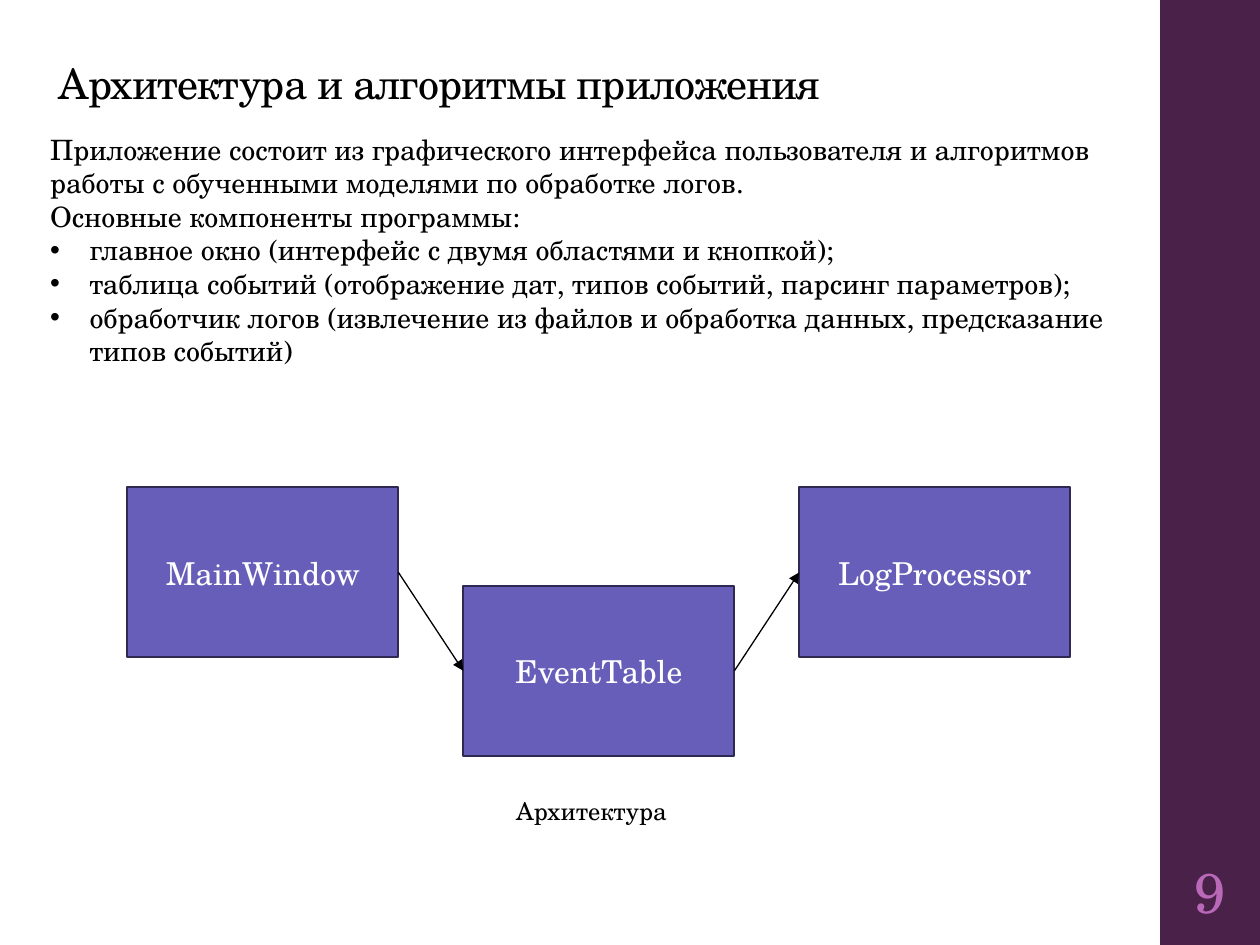
from lxml import etree
from pptx import Presentation
from pptx.dml.color import RGBColor
from pptx.enum.shapes import MSO_CONNECTOR, MSO_SHAPE
from pptx.enum.text import MSO_ANCHOR, PP_ALIGN
from pptx.oxml.ns import qn
from pptx.util import Pt

RECT = MSO_SHAPE.RECTANGLE
LINE = MSO_CONNECTOR.STRAIGHT
LEFT, MID = PP_ALIGN.LEFT, PP_ALIGN.CENTER
TOP, HALF, LOW = MSO_ANCHOR.TOP, MSO_ANCHOR.MIDDLE, MSO_ANCHOR.BOTTOM
FONT = "TeX Gyre Schola"
HUES = {"ink": "000000", "paper": "FFFFFF", "band": "4A2249",
        "node": "665EB8", "edge": "2D2951", "page": "BA69B8"}


def hue(name):
    return RGBColor.from_string(HUES[name])


def write(shape, text, size=16, tint="ink", align=LEFT, anchor=TOP,
          wrap=True, inset=7.2, lead=None, track=None, marks=()):
    frame = shape.text_frame
    frame.word_wrap = wrap
    frame.vertical_anchor = anchor
    frame.margin_left = frame.margin_right = Pt(inset)
    frame.text = text
    for i, para in enumerate(frame.paragraphs):
        para.alignment = align
        if lead:
            para.line_spacing = lead
        if i in marks:
            props = para._p.get_or_add_pPr()
            props.set("marL", str(Pt(22.5)))
            props.set("indent", str(-Pt(22.5)))
            etree.SubElement(props, qn("a:buFont")).set("typeface", "Arial")
            etree.SubElement(props, qn("a:buChar")).set("char", "•")
        for run in para.runs:
            run.font.name = FONT
            run.font.size = Pt(size)
            run.font.color.rgb = hue(tint)
            if track:
                run._r.get_or_add_rPr().set("spc", str(track))


def label(slide, box, text, **style):
    shape = slide.shapes.add_textbox(*map(Pt, box))
    write(shape, text, **style)


def block(slide, box, fill, edge=None):
    shape = slide.shapes.add_shape(RECT, *map(Pt, box))
    shape.shadow.inherit = False
    shape.fill.solid()
    shape.fill.fore_color.rgb = hue(fill)
    if edge:
        shape.line.color.rgb = hue(edge)
        shape.line.width = Pt(1.1)
    else:
        shape.line.fill.background()
    return shape


def arrow(slide, start, end):
    link = slide.shapes.add_connector(LINE, 0, 0, 0, 0)
    link.begin_connect(start, 3)
    link.end_connect(end, 1)
    link.line.color.rgb = hue("ink")
    link.line.width = Pt(0.75)
    props = link._element.spPr
    etree.SubElement(props.find(qn("a:ln")), qn("a:tailEnd")).set("type", "triangle")
    etree.SubElement(props, qn("a:effectLst"))


def side(slide, box, number):
    x, y, w, h = box
    block(slide, box, "band")
    label(slide, (x + 1.5, y + h - 54, w - 3.5, 47), number, size=32,
          tint="page", align=MID, anchor=HALF, inset=2.2)


def intro(slide, box):
    x, y, w, h = box
    label(slide, (x + 5, y, 610, 52), "Архитектура и алгоритмы приложения",
          size=24, anchor=LOW, lead=0.9, track=-50)
    lines = [
        "Приложение состоит из графического интерфейса пользователя и "
        "алгоритмов работы с обученными моделями по обработке логов.",
        "Основные компоненты программы:",
        "главное окно (интерфейс с двумя областями и кнопкой);",
        "таблица событий (отображение дат, типов событий, парсинг параметров);",
        "обработчик логов (извлечение из файлов и обработка данных, "
        "предсказание типов событий)",
    ]
    label(slide, (x, y + 58.3, w, h - 58.3), "\n".join(lines), marks=(2, 3, 4))


def scheme(slide, box):
    x, y, w, h = box
    wide, tall, drop = 155, 97.2, 56.2
    step = (w - wide) / 2
    nodes = []
    for i, name in enumerate(("MainWindow", "EventTable", "LogProcessor")):
        node = block(slide, (x + i * step, y + i % 2 * drop, wide, tall),
                     "node", "edge")
        write(node, name, size=18, tint="paper", align=MID, anchor=HALF)
        nodes.append(node)
    for start, end in zip(nodes, nodes[1:]):
        arrow(slide, start, end)
    label(slide, (x + 214.6, y + h - 24.5, 101.5, 24.5), "Архитектура",
          size=14, align=MID, wrap=False)


def main():
    deck = Presentation()
    deck.slide_width, deck.slide_height = Pt(720), Pt(540)
    slide = deck.slides.add_slide(deck.slide_layouts[6])
    side(slide, (663, 0, 57.5, 540), "9")
    intro(slide, (21.6, 13.7, 633, 206))
    scheme(slide, (72.7, 278.5, 539, 197.5))
    deck.save("out.pptx")


if __name__ == "__main__":
    main()
